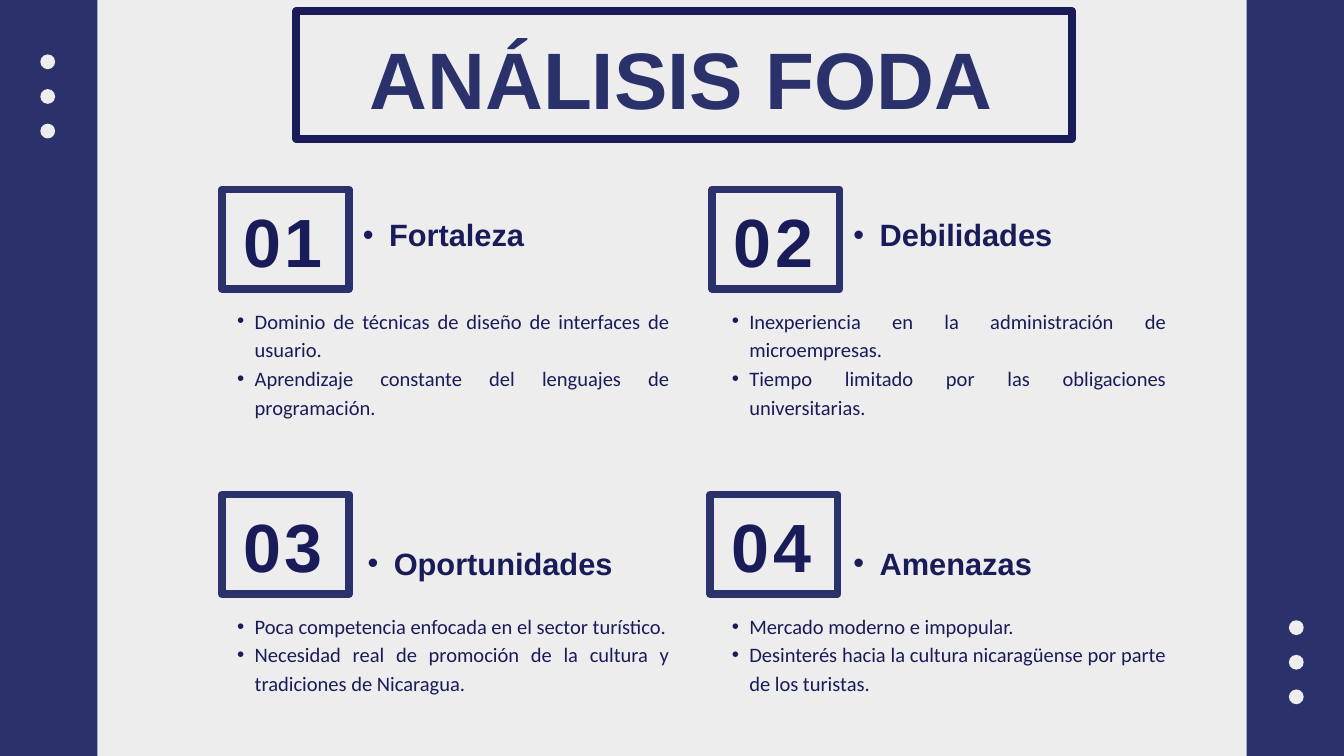
from lxml import etree
from pptx import Presentation
from pptx import util as u
from pptx.dml.color import RGBColor
from pptx.enum import shapes, text
from pptx.oxml import ns

COLS = 200
PAPER, NAVY, INK = "EDEDED", "2B326B", "191C59"
prs = Presentation()
prs.slide_width, prs.slide_height = u.Inches(20), u.Inches(11.25)
CELL = prs.slide_width / COLS

QUADRANTS = [
    ((32.7, 28.2, 66.9, 38.3), 0.3, "01", "Fortaleza", (17.4, 3.8), [
        "Dominio de técnicas de diseño de interfaces de usuario.",
        "Aprendizaje constante del lenguajes de programación."]),
    ((106.3, 28.2, 67.2, 38.3), -0.3, "02", "Debilidades", (16.8, 3.8), [
        "Inexperiencia en la administración de microempresas.",
        "Tiempo limitado por las obligaciones universitarias."]),
    ((32.7, 73.6, 66.9, 38.3), 0.3, "03", "Oportunidades", (18.1, 7.3), [
        "Poca competencia enfocada en el sector turístico.",
        "Necesidad real de promoción de la cultura y tradiciones de Nicaragua."]),
    ((106.3, 73.6, 67.2, 34), -0.6, "04", "Amenazas", (16.8, 7.3), [
        "Mercado moderno e impopular.",
        "Desinterés hacia la cultura nicaragüense por parte de los turistas."]),
]


def rgb(value):
    return RGBColor.from_string(value)


def grid(*cells):
    return [round(n * CELL) for n in cells]


def add_shape(s, box, fill=None, line=None, kind=shapes.MSO_SHAPE.RECTANGLE):
    sp = s.shapes.add_shape(kind, *grid(*box))
    sp.shadow.inherit = False
    if fill:
        sp.fill.solid()
        sp.fill.fore_color.rgb = rgb(fill)
    else:
        sp.fill.background()
    if line:
        sp.line.color.rgb = rgb(line)
        sp.line.width = u.Pt(8.25)
    else:
        sp.line.fill.background()
    return sp


def add_text(s, box, lines, size, leading, font="Arial", color=INK, bold=True,
             align=text.PP_ALIGN.LEFT, indent=None, spacing=None):
    tf = s.shapes.add_textbox(*grid(*box)).text_frame
    tf.word_wrap = True
    tf.auto_size = text.MSO_AUTO_SIZE.SHAPE_TO_FIT_TEXT
    tf.margin_left = tf.margin_right = tf.margin_top = tf.margin_bottom = 0
    for i, line in enumerate(lines):
        p = tf.add_paragraph() if i else tf.paragraphs[0]
        p.alignment = align
        p.line_spacing = u.Pt(leading)
        if indent:
            p.level = 1
            add_bullet(p, indent)
        r = p.add_run()
        r.text = line
        r.font.size, r.font.name, r.font.bold = u.Pt(size), font, bold
        r.font.color.rgb = rgb(color)
        if spacing:
            r.font._element.set("spc", str(spacing * 100))


def add_bullet(p, indent):
    pPr = p._p.get_or_add_pPr()
    pPr.set("marL", str(u.Inches(2 * indent)))
    pPr.set("indent", str(-u.Inches(indent)))
    etree.SubElement(pPr, ns.qn("a:buFont")).set("typeface", "Arial")
    etree.SubElement(pPr, ns.qn("a:buChar")).set("char", "•")


def quadrant(s, box, badge_dx, number, heading, heading_at, items):
    x, y, w, h = box
    badge_x = x + badge_dx
    add_shape(s, (badge_x, y, 18.95, 14.8), line=NAVY)
    add_text(s, (badge_x - 4.7, y + 1.1, 27.7, 12.4), [number], 73.1, 89.9,
             align=text.PP_ALIGN.CENTER, spacing=4)
    add_text(s, (x, y + 17.1, w, h - 17.1), items, 22, 30.8, font="Calibri",
             bold=False, align=text.PP_ALIGN.JUSTIFY, indent=0.26)
    dx, dy = heading_at
    add_text(s, (x + dx, y + dy, 55.6, 5.6), [heading], 33, 40.6, indent=0.39)


def side_band(s, box, dots_at):
    add_shape(s, box, fill=NAVY)
    x, y = dots_at
    for i in range(3):
        add_shape(s, (x, y + 5.15 * i, 2.2, 2.2), fill=PAPER,
                  kind=shapes.MSO_SHAPE.OVAL)


def title(s, box):
    x, y, w, h = box
    add_shape(s, box, line=INK)
    add_text(s, (x + 2.4, y + 2.5, w - 5.7, h - 4.7), ["ANÁLISIS FODA"],
             85.8, 105.5, color=NAVY, align=text.PP_ALIGN.CENTER)


def main():
    s = prs.slides.add_slide(prs.slide_layouts[6])
    s.background.fill.solid()
    s.background.fill.fore_color.rgb = rgb(PAPER)
    for parts in QUADRANTS:
        quadrant(s, *parts)
    side_band(s, (-19.3, -9.6, 33.8, 131.7), (6, 8.1))
    side_band(s, (185.5, -9.6, 33.8, 131.7), (191.8, 92.3))
    title(s, (44.1, 1.6, 115.4, 19.1))
    prs.save("out.pptx")


if __name__ == "__main__":
    main()
